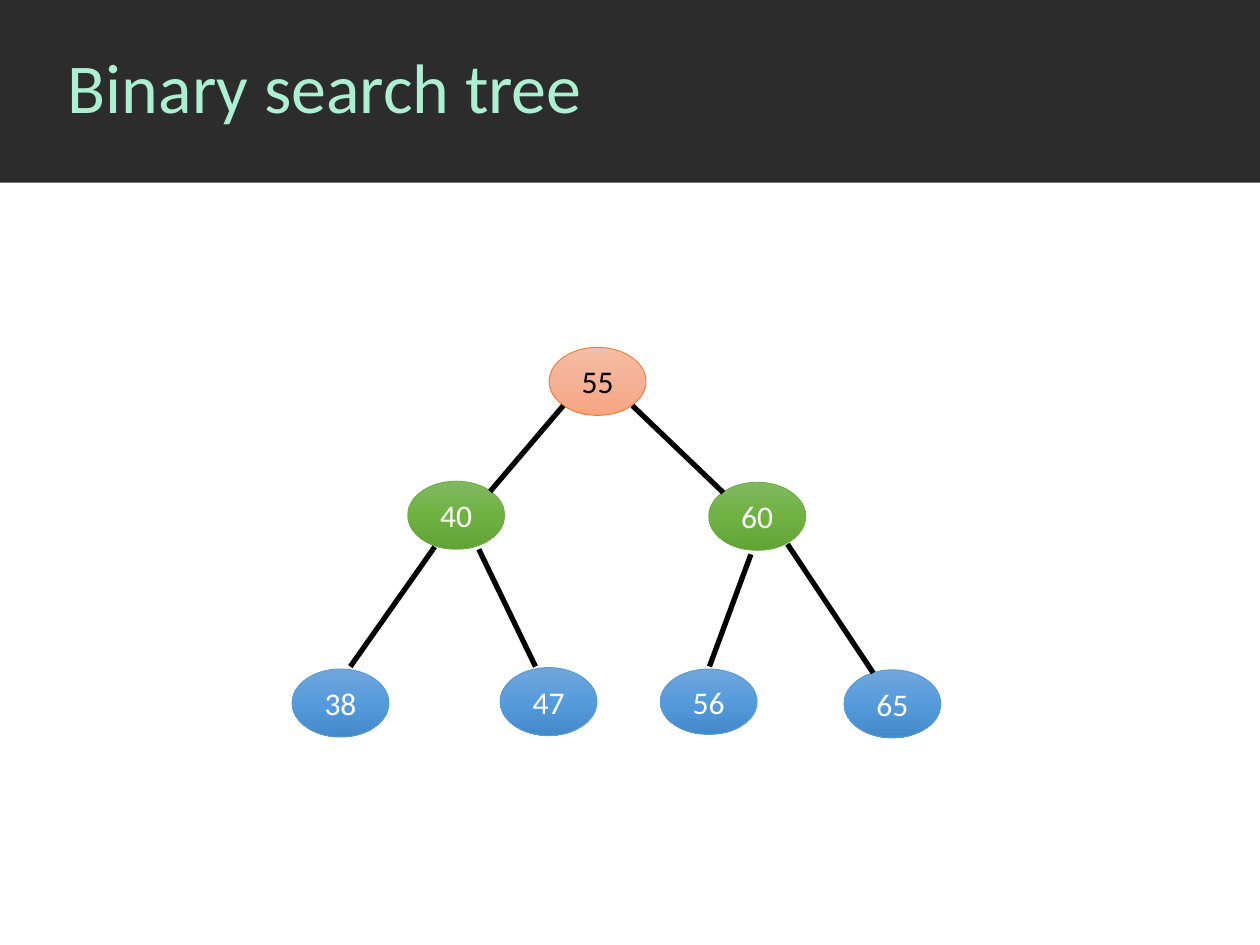
from copy import deepcopy

from pptx import Presentation
from pptx.dml.color import RGBColor
from pptx.enum.shapes import MSO_CONNECTOR, MSO_SHAPE
from pptx.enum.text import MSO_ANCHOR, PP_ALIGN
from pptx.oxml.ns import qn
from pptx.util import Pt
from lxml.etree import SubElement

FONT = "Calibri"
TITLE = "Binary search tree"
NODE_WIDTH, NODE_HEIGHT = 55.4, 38.9

# Level: gradient from top to bottom, outline, text colour
LEVELS = {
    "root": (("F7BDA5", "F5B196", "F8A582"), "ED7D31", "000000"),
    "inner": (("81B861", "6FB242", "62A336"), "70AD47", "FFFFFF"),
    "leaf": (("71A6DB", "559BDB", "448ACA"), "5B9BD5", "FFFFFF"),
}

# Key, level, left, top, height
NODES = [
    ("55", "root", 313.8, 198.5, NODE_HEIGHT),
    ("40", "inner", 233, 275, NODE_HEIGHT),
    ("60", "inner", 405, 275.6, NODE_HEIGHT),
    ("38", "leaf", 166.9, 382.3, NODE_HEIGHT),
    ("47", "leaf", 285.8, 381.5, NODE_HEIGHT),
    ("56", "leaf", 377.3, 382.3, 37.4),
    ("65", "leaf", 482.3, 382.8, NODE_HEIGHT),
]

# Start x, y and end x, y, from parent to child
EDGES = [
    (321.9, 231.8, 280.1, 280.8),
    (361.4, 231.8, 413.3, 281.5),
    (248.4, 312.5, 200.2, 380.9),
    (273.6, 313.9, 306, 380.9),
    (429.1, 316.8, 405.4, 380.9),
    (450, 311, 499, 384.5),
]


def rgb(hex_color):
    return RGBColor.from_string(hex_color)


def write(shape, text, size, color, align):
    frame = shape.text_frame
    frame.word_wrap = True
    frame.vertical_anchor = MSO_ANCHOR.MIDDLE
    frame.text = text
    paragraph = frame.paragraphs[0]
    paragraph.alignment = align
    font = paragraph.runs[0].font
    font.name, font.size = FONT, Pt(size)
    font.color.rgb = rgb(color)
    return paragraph


def fill_downward(shape, colors):
    """Fill with a three-stop gradient running from top to bottom."""
    fill = shape.fill
    fill.gradient()
    fill.gradient_angle = 270
    stop_list = shape.element.spPr.find(qn("a:gradFill")).find(qn("a:gsLst"))
    stop_list.insert(1, deepcopy(stop_list[0]))
    for stop, color, position in zip(fill.gradient_stops, colors, (0, 0.5, 1)):
        stop.color.rgb = rgb(color)
        stop.position = position


def add_node(slide, key, level, left, top, height):
    colors, outline, text_color = LEVELS[level]
    node = slide.shapes.add_shape(
        MSO_SHAPE.OVAL, Pt(left), Pt(top), Pt(NODE_WIDTH), Pt(height))
    node.shadow.inherit = False
    fill_downward(node, colors)
    node.line.color.rgb = rgb(outline)
    node.line.width = Pt(0.5)
    write(node, key, 18, text_color, PP_ALIGN.CENTER)


def add_edge(slide, *ends):
    edge = slide.shapes.add_connector(MSO_CONNECTOR.STRAIGHT, *map(Pt, ends))
    edge.line.color.rgb = rgb("000000")
    edge.line.width = Pt(3)
    SubElement(edge.element.spPr, qn("a:effectLst"))


def main():
    presentation = Presentation()
    presentation.slide_width, presentation.slide_height = Pt(720), Pt(540)
    slide = presentation.slides.add_slide(presentation.slide_layouts[6])

    band = slide.shapes.add_shape(MSO_SHAPE.RECTANGLE, 0, 0, Pt(720), Pt(104.4))
    band.shadow.inherit = False
    band.fill.solid()
    band.fill.fore_color.rgb = rgb("2C2C2C")
    band.line.fill.background()

    title = slide.shapes.add_textbox(Pt(31.7), 0, Pt(688.3), Pt(103.7))
    write(title, TITLE, 40, "ADF0D1", PP_ALIGN.LEFT).line_spacing = 0.9

    for node in NODES:
        add_node(slide, *node)
    for edge in EDGES:
        add_edge(slide, *edge)

    presentation.save("out.pptx")


if __name__ == "__main__":
    main()
